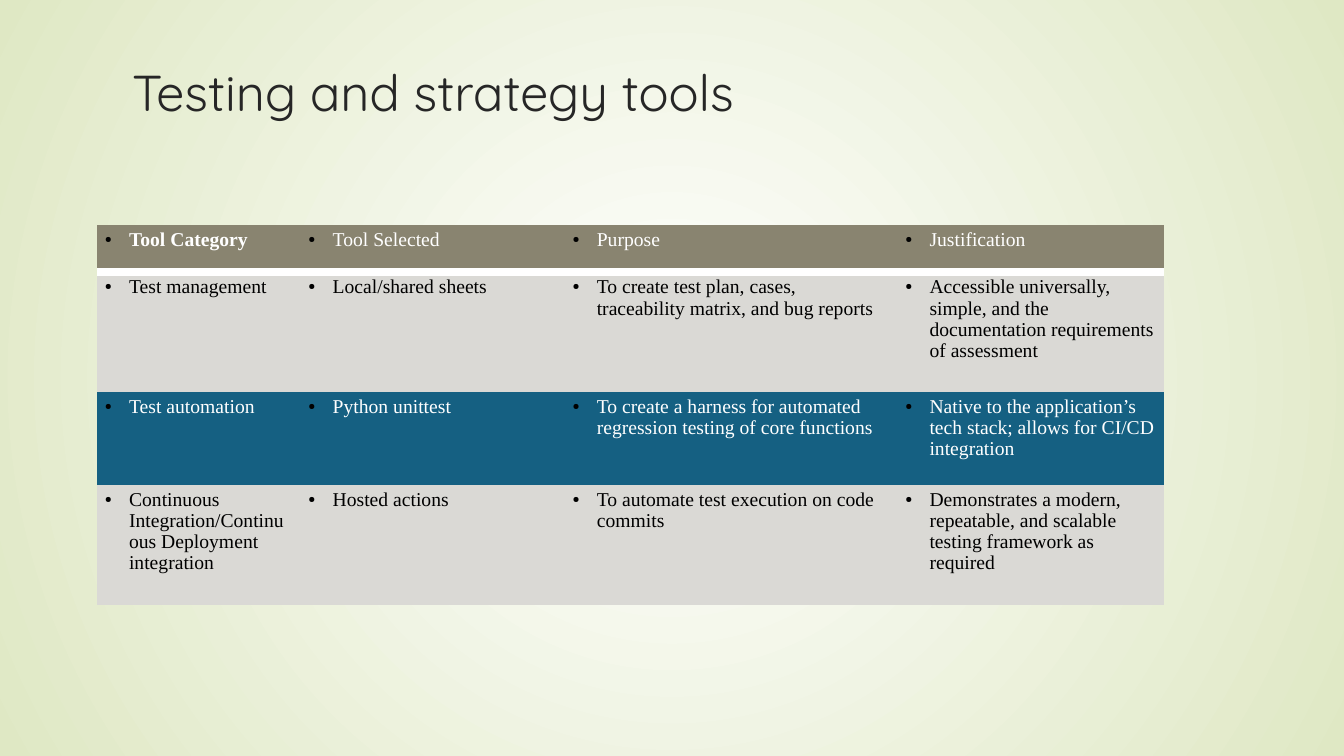
"""Build the slide on testing and strategy tools."""
from collections import namedtuple

from lxml import etree
from pptx import Presentation
from pptx import util as u
from pptx.dml.color import RGBColor
from pptx.enum import text
from pptx.oxml import parse_xml
from pptx.oxml.ns import nsdecls, qn

Theme = namedtuple("Theme", "white black ink olive grey blue glow title_font body_font title_size body_size")
theme = Theme("FFFFFF", "000000", "262626", "898470", "DAD9D5", "156082", "DFE8C4",
              "Quicksand", "Times New Roman", 36, 14)
NO_GRID_STYLE = "{2D5ABB26-0587-4C30-8999-92F81FD0307C}"

column_widths = [2.02, 2.62, 3.3, 2.65]
tool_rows = [
    (0.47, theme.olive, theme.white,
     ["Tool Category", "Tool Selected", "Purpose", "Justification"]),
    (1.19, theme.grey, theme.black,
     ["Test management", "Local/shared sheets",
      "To create test plan, cases, traceability matrix, and bug reports",
      "Accessible universally, simple, and the documentation requirements of assessment"]),
    (0.92, theme.blue, theme.white,
     ["Test automation", "Python unittest",
      "To create a harness for automated regression testing of core functions",
      "Native to the application’s tech stack; allows for CI/CD integration"]),
    (1.19, theme.grey, theme.black,
     ["Continuous Integration/Continuous Deployment integration", "Hosted actions",
      "To automate test execution on code commits",
      "Demonstrates a modern, repeatable, and scalable testing framework as required"]),
]


def style_runs(paragraph, font_name, size, color, bold=False):
    for run in paragraph.runs:
        run.font.name = font_name
        run.font.size = u.Pt(size)
        run.font.bold = bold
        run.font.color.rgb = RGBColor.from_string(color)


def add_bullet(paragraph):
    properties = paragraph._p.get_or_add_pPr()
    properties.set("marL", str(u.Inches(0.24)))
    properties.set("indent", str(u.Inches(-0.24)))
    for markup in (f'<a:buClr {nsdecls("a")}><a:srgbClr val="{theme.black}"/></a:buClr>',
                   f'<a:buSzPct {nsdecls("a")} val="45000"/>',
                   f'<a:buChar {nsdecls("a")} char="●"/>'):
        properties.append(parse_xml(markup))


deck = Presentation()
deck.slide_width, deck.slide_height = u.Inches(13.33), u.Inches(7.5)
slide = deck.slides.add_slide(deck.slide_layouts[5])

backdrop = slide.background.fill
backdrop.gradient()
for stop, color in zip(backdrop.gradient_stops, (theme.white, theme.glow)):
    stop.color.rgb = RGBColor.from_string(color)
gradient = slide.element.find(".//" + qn("a:gradFill"))
gradient.remove(gradient.find(qn("a:lin")))
circle = etree.SubElement(gradient, qn("a:path"), path="circle")
etree.SubElement(circle, qn("a:fillToRect"), l="50000", t="50000", r="50000", b="50000")

heading = slide.shapes.title
heading.left, heading.top = u.Inches(1.21), u.Inches(0.56)
heading.width, heading.height = u.Inches(9.75), u.Inches(0.98)
heading.text_frame.text = "Testing and strategy tools"
heading.text_frame.vertical_anchor = text.MSO_ANCHOR.TOP
heading.text_frame.paragraphs[0].alignment = text.PP_ALIGN.LEFT
style_runs(heading.text_frame.paragraphs[0], theme.title_font, theme.title_size, theme.ink)

tools = slide.shapes.add_table(
    len(tool_rows), len(column_widths), u.Inches(0.96), u.Inches(2.23),
    u.Inches(sum(column_widths)), u.Inches(sum(row[0] for row in tool_rows))).table
tools.horz_banding = False
tools._tbl.tblPr.find(qn("a:tableStyleId")).text = NO_GRID_STYLE
for column, width in zip(tools.columns, column_widths):
    column.width = u.Inches(width)

for row_index, (height, fill, ink, entries) in enumerate(tool_rows):
    tools.rows[row_index].height = u.Inches(height)
    for column_index, entry in enumerate(entries):
        cell = tools.cell(row_index, column_index)
        cell.margin_left = cell.margin_right = u.Inches(0.08)
        cell.margin_top = cell.margin_bottom = u.Inches(0.05)
        cell.fill.solid()
        cell.fill.fore_color.rgb = RGBColor.from_string(fill)
        cell.text_frame.text = entry
        paragraph = cell.text_frame.paragraphs[0]
        paragraph.line_spacing = 0.97
        add_bullet(paragraph)
        style_runs(paragraph, theme.body_font, theme.body_size, ink,
                   bold=row_index == column_index == 0)
        if row_index == 0:
            cell._tc.get_or_add_tcPr().insert(0, parse_xml(
                f'<a:lnB {nsdecls("a")} w="{u.Pt(6)}"><a:solidFill>'
                f'<a:srgbClr val="{theme.white}"/></a:solidFill></a:lnB>'))

deck.save("out.pptx")
